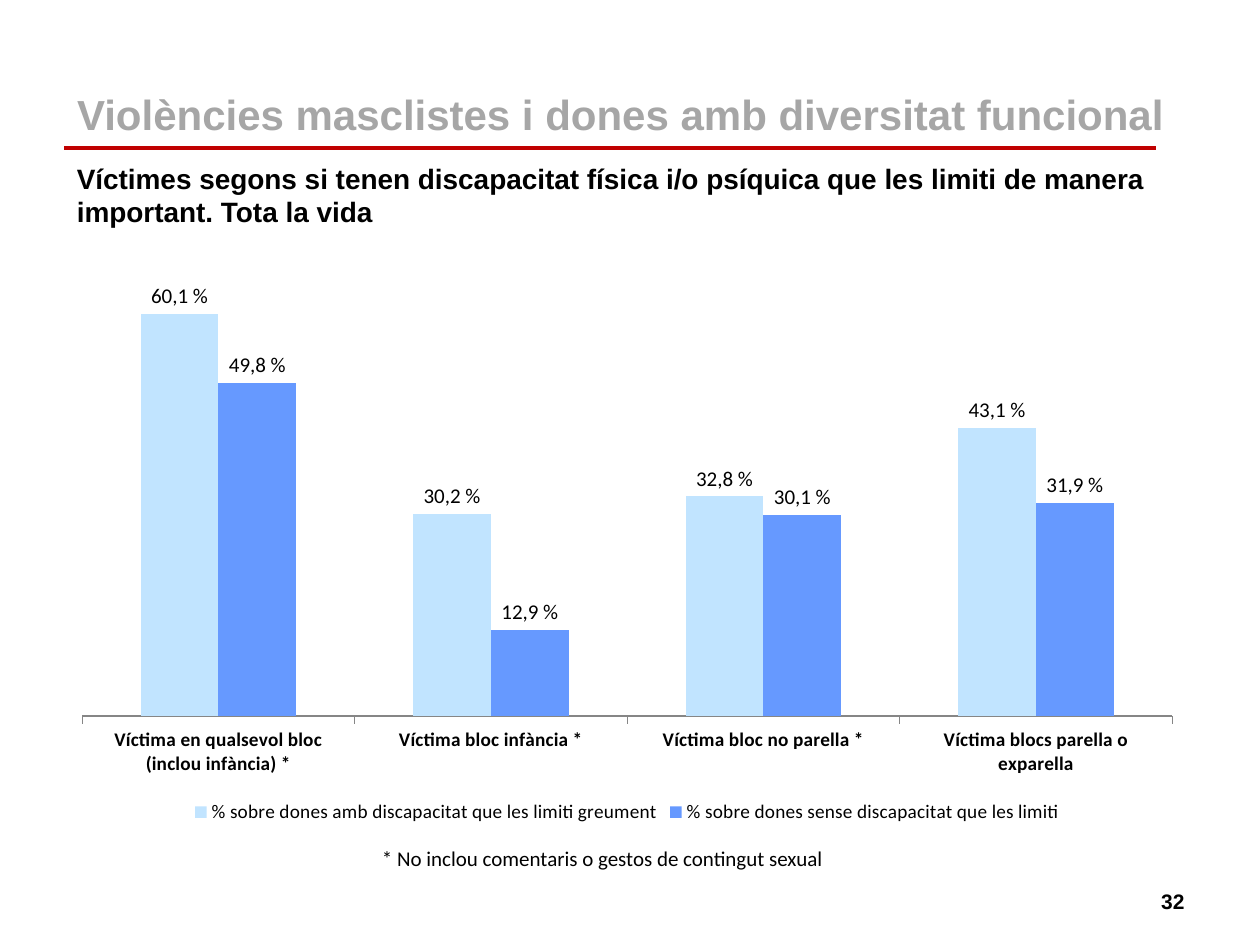
from lxml.etree import SubElement
from pptx import Presentation
from pptx.chart.data import CategoryChartData
from pptx.dml.color import RGBColor
from pptx.enum.chart import XL_CHART_TYPE, XL_LABEL_POSITION, XL_LEGEND_POSITION, XL_TICK_MARK
from pptx.enum.shapes import MSO_CONNECTOR
from pptx.enum.text import MSO_ANCHOR, MSO_AUTO_SIZE, PP_ALIGN
from pptx.oxml import parse_xml
from pptx.oxml.ns import nsdecls, qn
from pptx.util import Cm, Pt

BLACK = "000000"
ONE_DECIMAL = "0.0"
CATEGORIES = [
    "Víctima en qualsevol bloc (inclou infància) *",
    "Víctima bloc infància *",
    "Víctima bloc no parella *",
    "Víctima blocs parella o exparella",
]
SERIES = [
    ("% sobre dones amb discapacitat que les limiti greument", "C1E4FF", [60.1, 30.2, 32.8, 43.1]),
    ("% sobre dones sense discapacitat que les limiti", "6699FF", [49.8, 12.9, 30.1, 31.9]),
]


def color(value):
    """Turn a hex string into a colour."""
    return RGBColor.from_string(value)


def style_font(font, size, name="Calibri", fill=BLACK, bold=False):
    """Set the face, size, weight and colour of a font."""
    font.name, font.size, font.bold = name, Pt(size), bold
    font.color.rgb = color(fill)


def write(shape, text, size, anchor=MSO_ANCHOR.TOP, align=PP_ALIGN.LEFT, **style):
    """Fill a shape with one formatted paragraph."""
    frame = shape.text_frame
    frame.text = text
    frame.word_wrap = True
    frame.auto_size = MSO_AUTO_SIZE.NONE
    frame.vertical_anchor = anchor
    paragraph = frame.paragraphs[0]
    paragraph.alignment = align
    style_font(paragraph.runs[0].font, size, **style)


def add_text(slide, box, text, size, **style):
    """Add a text box at the given box."""
    write(slide.shapes.add_textbox(*map(Cm, box)), text, size, **style)


def add_heading(slide, box):
    """Place the title, its red rule and the subtitle within the box."""
    left, top, width, height = box
    title = slide.shapes.title
    title.left, title.top, title.width, title.height = map(Cm, (left, top, width, 1.4))
    write(title, "Violències masclistes i dones amb diversitat funcional", 24,
          anchor=MSO_ANCHOR.MIDDLE, name="Arial", fill="A6A6A6", bold=True)

    rule_y = Cm(top + 1.38)
    rule = slide.shapes.add_connector(
        MSO_CONNECTOR.STRAIGHT, Cm(left), rule_y, Cm(left + width - 1.18), rule_y)
    rule.line.color.rgb = color("C00000")
    rule.line.width = Pt(2.25)
    SubElement(rule._element.spPr, qn("a:effectLst"))

    add_text(slide, (left, top + 1.53, width - 0.58, height - 1.53),
             "Víctimes segons si tenen discapacitat física i/o psíquica "
             "que les limiti de manera important. Tota la vida",
             16, name="Arial", bold=True)


def set_plot_layout(chart, **fractions):
    """Fix the inner plot area as fractions of the chart."""
    plot_area = chart._chartSpace.chart.plotArea
    for layout in plot_area.findall(qn("c:layout")):
        plot_area.remove(layout)
    parts = "".join(f'<c:{key} val="{value}"/>' for key, value in fractions.items())
    plot_area.insert(0, parse_xml(
        f'<c:layout {nsdecls("c")}><c:manualLayout><c:layoutTarget val="inner"/>'
        f'<c:xMode val="edge"/><c:yMode val="edge"/>{parts}</c:manualLayout></c:layout>'))


def style_series(series, fill, values):
    """Colour one series and label its columns with decimal commas."""
    series.format.fill.solid()
    series.format.fill.fore_color.rgb = color(fill)
    series.invert_if_negative = False
    labels = series.data_labels
    labels.show_value = True
    labels.number_format, labels.number_format_is_linked = ONE_DECIMAL, False
    labels.position = XL_LABEL_POSITION.OUTSIDE_END
    style_font(labels.font, 12, bold=True)
    for index, value in enumerate(values):
        label = series.points[index].data_label
        label.text_frame.text = f"{value} %".replace(".", ",")
        style_font(label.text_frame.paragraphs[0].runs[0].font, 12)
        label.position = XL_LABEL_POSITION.OUTSIDE_END


def add_victims_chart(slide, box):
    """Place the clustered column chart in the box."""
    data = CategoryChartData(number_format=ONE_DECIMAL)
    data.categories = CATEGORIES
    for name, _, values in SERIES:
        data.add_series(name, values)
    chart = slide.shapes.add_chart(
        XL_CHART_TYPE.COLUMN_CLUSTERED, *map(Cm, box), data).chart
    chart.has_title = False
    style_font(chart.font, 10)
    set_plot_layout(chart, x=0.02, y=0.02, w=0.96, h=0.79)

    plot = chart.plots[0]
    plot.gap_width, plot.overlap = 150, 0
    plot.vary_by_categories = False
    for series, (_, fill, values) in zip(plot.series, SERIES):
        style_series(series, fill, values)

    percent_axis = chart.value_axis
    percent_axis.minimum_scale, percent_axis.maximum_scale = 0, 70
    percent_axis.has_major_gridlines = False
    percent_axis.tick_labels.number_format = ONE_DECIMAL
    percent_axis.tick_labels.number_format_is_linked = False
    percent_axis.visible = False

    block_axis = chart.category_axis
    block_axis.major_tick_mark = XL_TICK_MARK.OUTSIDE
    block_axis.format.line.color.rgb = color("868686")
    style_font(block_axis.tick_labels.font, 11, bold=True)

    chart.has_legend = True
    chart.legend.position = XL_LEGEND_POSITION.BOTTOM
    chart.legend.include_in_layout = False
    style_font(chart.legend.font, 11)


def add_footer(slide, box):
    """Place the footnote and the page number within the box."""
    left, top, width, height = box
    add_text(slide, (left, top, 10.39, 0.76),
             "* No inclou comentaris o gestos de contingut sexual", 12)
    add_text(slide, (left + width - 5.92, top + height - 1.02, 5.92, 1.02), "32", 12,
             anchor=MSO_ANCHOR.MIDDLE, align=PP_ALIGN.RIGHT, name="Arial", bold=True)


def main():
    """Build the slide and save it."""
    deck = Presentation()
    deck.slide_width, deck.slide_height = Cm(25.4), Cm(19.05)
    slide = deck.slides.add_slide(deck.slide_layouts.get_by_name("Title Only"))
    add_heading(slide, (1.3, 1.6, 23.19, 3.12))
    add_victims_chart(slide, (1.2, 4.75, 22.89, 11.96))
    add_footer(slide, (7.45, 16.92, 16.68, 1.75))
    deck.save("out.pptx")


if __name__ == "__main__":
    main()
